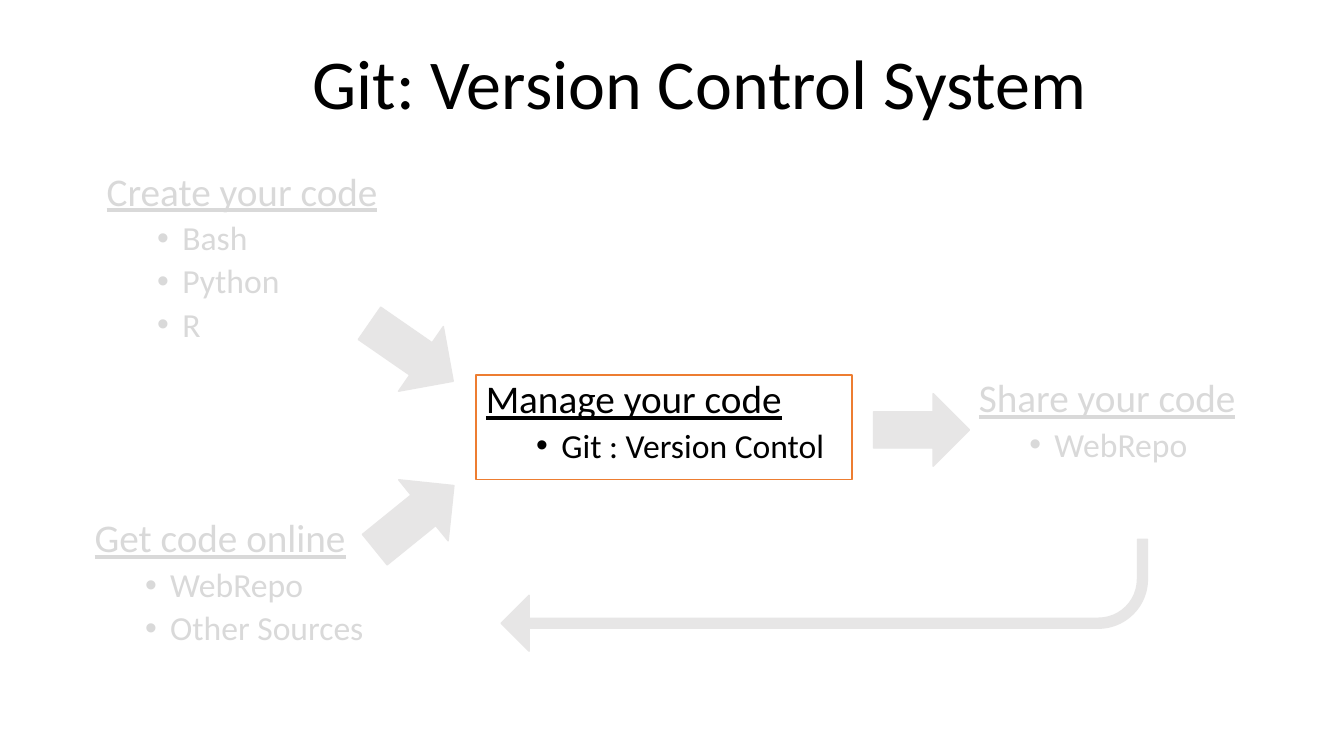
from dataclasses import dataclass

from lxml import etree
from pptx import Presentation
from pptx import util as u
from pptx.dml.color import RGBColor
from pptx.enum import shapes, text
from pptx.oxml import ns

PX = 9144
FONT = "Calibri"
BLACK = RGBColor(0x00, 0x00, 0x00)
WHITE = RGBColor(0xFF, 0xFF, 0xFF)
FADED = RGBColor(0xD9, 0xD9, 0xD9)
ARROW_GREY = RGBColor(0xE7, 0xE6, 0xE6)
ORANGE = RGBColor(0xED, 0x7D, 0x31)


@dataclass(frozen=True)
class Box:
    left: int
    top: int
    width: int
    height: int

    def emu(self) -> list[u.Emu]:
        return [u.Emu(v * PX) for v in (self.left, self.top, self.width, self.height)]


@dataclass(frozen=True)
class Step:
    box: Box
    heading: str
    items: tuple[str, ...]
    color: RGBColor = FADED
    border: RGBColor | None = None


@dataclass(frozen=True)
class Arrow:
    box: Box
    rotation: float
    kind: shapes.MSO_SHAPE = shapes.MSO_SHAPE.UP_ARROW
    adjustments: tuple[float, ...] = ()


STEPS = (
    Step(Box(961, 371, 308, 120), "Share your code", ("WebRepo",)),
    Step(Box(472, 372, 373, 104), "Manage your code", ("Git : Version Contol",), BLACK, ORANGE),
    Step(Box(96, 166, 315, 192), "Create your code", ("Bash", "Python", "R")),
    Step(Box(84, 510, 334, 161), "Get code online", ("WebRepo", "Other Sources")),
)
ARROWS = (
    Arrow(Box(369, 299, 78, 101), 124.7),
    Arrow(Box(878, 379, 72, 95), 90),
    Arrow(Box(372, 463, 78, 101), 51),
    Arrow(Box(497, 535, 641, 111), 180, shapes.MSO_SHAPE.BENT_ARROW, (0.089, 0.25, 0.25, 0.438)),
)


def write(p, content: str, *, size: int, color: RGBColor = BLACK, underline: bool = False) -> None:
    r = p.add_run()
    r.text = content
    r.font.name = FONT
    r.font.size = u.Pt(size)
    r.font.color.rgb = color
    r.font.underline = underline


def add_bullet(p) -> None:
    p.level = 1
    pPr = p._p.get_or_add_pPr()
    pPr.set("marL", str(75 * PX))
    pPr.set("indent", str(-25 * PX))
    etree.SubElement(pPr, ns.qn("a:buFont")).set("typeface", "Arial")
    etree.SubElement(pPr, ns.qn("a:buChar")).set("char", "•")


def add_shape(s, kind: shapes.MSO_SHAPE, box: Box, fill: RGBColor, line: RGBColor | None):
    sp = s.shapes.add_shape(kind, *box.emu())
    sp.shadow.inherit = False
    sp.fill.solid()
    sp.fill.fore_color.rgb = fill
    if line is None:
        sp.line.fill.background()
    else:
        sp.line.color.rgb = line
        sp.line.width = u.Pt(1)
    return sp


def add_step(s, step: Step) -> None:
    sp = add_shape(s, shapes.MSO_SHAPE.RECTANGLE, step.box, WHITE, step.border)
    tf = sp.text_frame
    tf.word_wrap = True
    tf.vertical_anchor = text.MSO_ANCHOR.TOP
    p = tf.paragraphs[0]
    write(p, step.heading, size=28, color=step.color, underline=True)
    for item in step.items:
        p = tf.add_paragraph()
        p.space_before = u.Pt(5)
        add_bullet(p)
        write(p, item, size=24, color=step.color)
    for p in tf.paragraphs:
        p.alignment = text.PP_ALIGN.LEFT
        p.line_spacing = 0.9


def add_arrow(s, arrow: Arrow) -> None:
    sp = add_shape(s, arrow.kind, arrow.box, ARROW_GREY, ARROW_GREY)
    sp.rotation = arrow.rotation
    for i, value in enumerate(arrow.adjustments):
        sp.adjustments[i] = value


def set_title(s, content: str, box: Box) -> None:
    sp = s.shapes.title
    sp.left, sp.top, sp.width, sp.height = box.emu()
    tf = sp.text_frame
    tf.word_wrap = False
    tf.auto_size = text.MSO_AUTO_SIZE.SHAPE_TO_FIT_TEXT
    tf.vertical_anchor = text.MSO_ANCHOR.TOP
    p = tf.paragraphs[0]
    p.alignment = text.PP_ALIGN.LEFT
    write(p, content, size=50)


def main() -> None:
    prs = Presentation()
    prs.slide_width, prs.slide_height = u.Emu(1333 * PX), u.Emu(750 * PX)
    s = prs.slides.add_slide(prs.slide_layouts[5])
    set_title(s, "Git: Version Control System", Box(300, 34, 795, 94))
    for step in STEPS:
        add_step(s, step)
    for arrow in ARROWS:
        add_arrow(s, arrow)
    prs.save("out.pptx")


if __name__ == "__main__":
    main()
